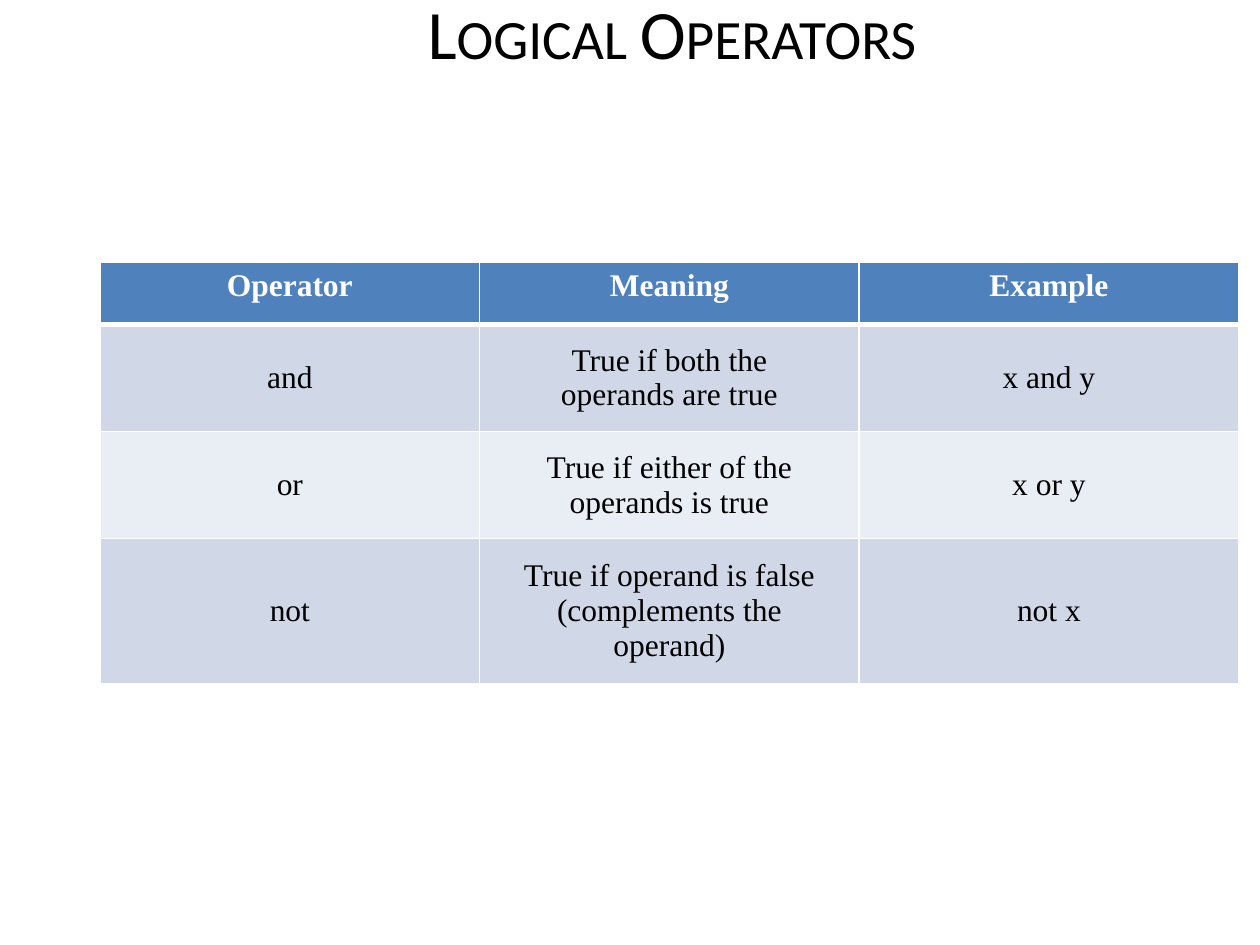
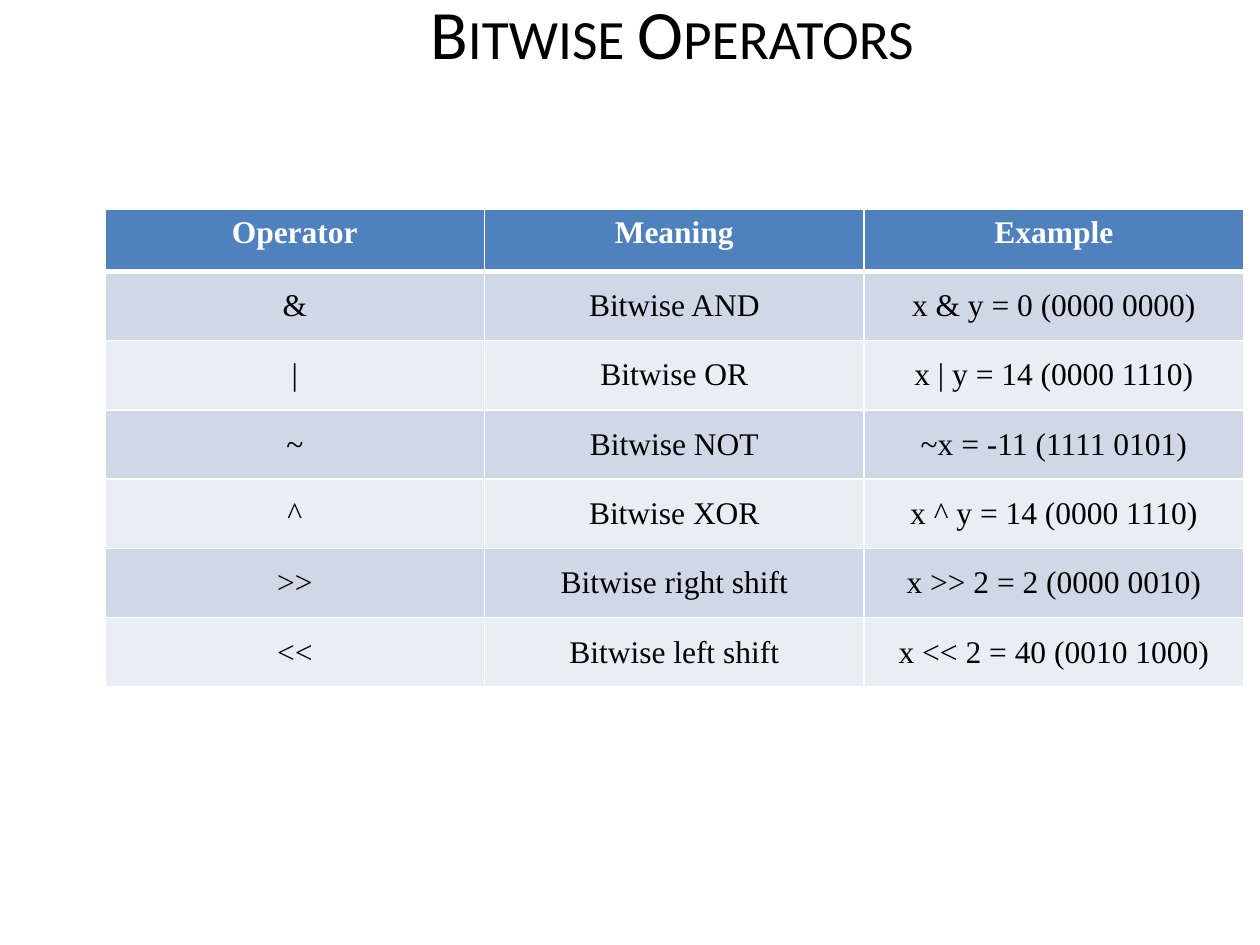
from lxml import etree
from pptx import Presentation
from pptx.dml.color import RGBColor
from pptx.enum import text
from pptx.oxml import ns
from pptx.util import Pt

WHITE = RGBColor(0xFF, 0xFF, 0xFF)
BLACK = RGBColor(0x00, 0x00, 0x00)
HEADER = RGBColor(0x4F, 0x81, 0xBD)
BANDS = [RGBColor(0xD0, 0xD8, 0xE8), RGBColor(0xE9, 0xED, 0xF4)]

COLUMNS = ("Operator", "Meaning", "Example")
COL_W = 216.9
HEADER_H = 35.3
LINE_H = 19.9
PAD_X, PAD_Y = 18, 9

# Title, table left, table top, rows as (lines of text, cells)
SLIDES = [
    ("Logical Operators", 57.2, 150, [
        (2, ("and", "True if both the operands are true", "x and y")),
        (2, ("or", "True if either of the operands is true", "x or y")),
        (3, ("not", "True if operand is false (complements the operand)", "not x")),
    ]),
    ("Bitwise Operators", 60, 119.7, [
        (1, ("&", "Bitwise AND", "x & y = 0 (0000 0000)")),
        (1, ("|", "Bitwise OR", "x | y = 14 (0000 1110)")),
        (1, ("~", "Bitwise NOT", "~x = -11 (1111 0101)")),
        (1, ("^", "Bitwise XOR", "x ^ y = 14 (0000 1110)")),
        (1, (">>", "Bitwise right shift", "x >> 2 = 2 (0000 0010)")),
        (1, ("<<", "Bitwise left shift", "x << 2 = 40 (0010 1000)")),
    ]),
]


def add_run(tf, words, font, size, color, bold=False):
    p = tf.paragraphs[0]
    p.alignment = text.PP_ALIGN.CENTER
    r = p.add_run()
    r.text = words
    r.font.name = font
    r.font.size = Pt(size)
    r.font.bold = bold
    r.font.color.rgb = color
    return r


def style_cell(cell, fill, top, bottom):
    """White borders first, then the fill, as the schema orders them."""
    tc_pr = cell._tc.get_or_add_tcPr()
    for side, width in (("L", 1), ("R", 1), ("T", top), ("B", bottom)):
        ln = etree.SubElement(tc_pr, ns.qn(f"a:ln{side}"), w=str(Pt(width)))
        solid = etree.SubElement(ln, ns.qn("a:solidFill"))
        etree.SubElement(solid, ns.qn("a:srgbClr"), val=str(WHITE))
    cell.fill.solid()
    cell.fill.fore_color.rgb = fill


prs = Presentation()
prs.slide_width, prs.slide_height = Pt(720), Pt(540)

for title, left, top, rows in SLIDES:
    s = prs.slides.add_slide(prs.slide_layouts[6])

    # Title in small capitals
    tf = s.shapes.add_textbox(Pt(60), Pt(-7.2), Pt(648), Pt(51)).text_frame
    tf.word_wrap = True
    tf.vertical_anchor = text.MSO_ANCHOR.MIDDLE
    r = add_run(tf, title, "Calibri", 39.6, BLACK)
    r.font._element.set("cap", "small")

    # Table grid
    heights = [HEADER_H] + [2 * PAD_Y + lines * LINE_H for lines, _ in rows]
    table = s.shapes.add_table(len(heights), len(COLUMNS), Pt(left), Pt(top),
                               Pt(COL_W * len(COLUMNS)), Pt(sum(heights))).table
    for col in table.columns:
        col.width = Pt(COL_W)
    for row, height in zip(table.rows, heights):
        row.height = Pt(height)

    # Header row
    for cell, words in zip(table.rows[0].cells, COLUMNS):
        style_cell(cell, HEADER, 1, 3)
        add_run(cell.text_frame, words, "Times New Roman", 18, WHITE, True)

    # Banded operator rows
    for i, (_, words_in_row) in enumerate(rows):
        for cell, words in zip(table.rows[i + 1].cells, words_in_row):
            style_cell(cell, BANDS[i % 2], 3 if i == 0 else 1, 1)
            cell.margin_left = cell.margin_right = Pt(PAD_X)
            cell.margin_top = cell.margin_bottom = Pt(PAD_Y)
            cell.vertical_anchor = text.MSO_ANCHOR.MIDDLE
            add_run(cell.text_frame, words, "Times New Roman", 18, BLACK)

prs.save("out.pptx")
